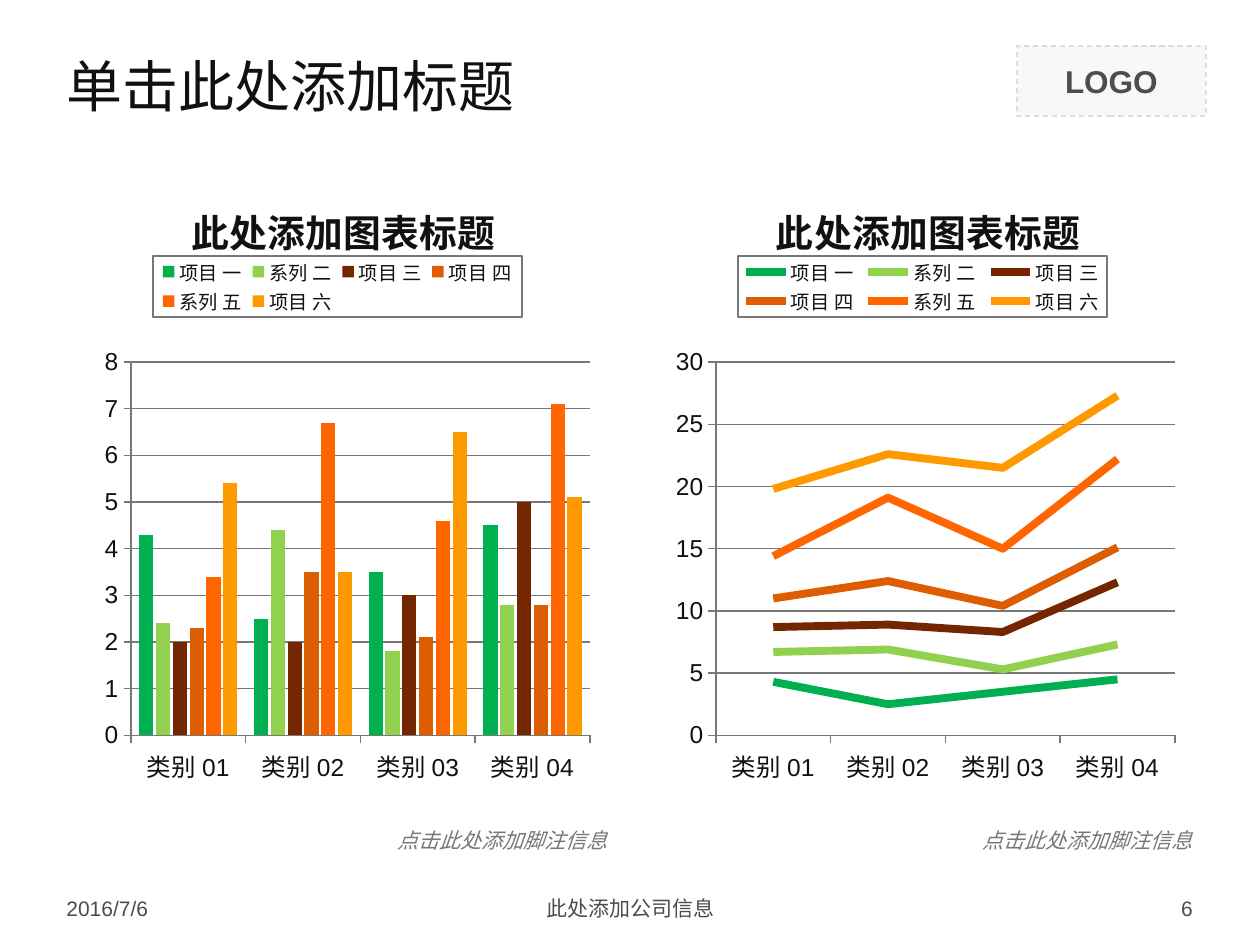
import pptx
import pptx.util
import pptx.dml.color
import pptx.chart.data
import pptx.enum.chart
import pptx.enum.dml
import pptx.enum.shapes
import pptx.enum.text
import pptx.oxml

# Content: lengths in px, 126 to the inch
SIZE = (1260, 945)
TITLE = "单击此处添加标题"
HEAD = "此处添加图表标题"
NOTE = "点击此处添加脚注信息"
CATS = ["类别 01", "类别 02", "类别 03", "类别 04"]
ROWS = [
    ("项目 一", "00B050", (4.3, 2.5, 3.5, 4.5)),
    ("系列 二", "92D050", (2.4, 4.4, 1.8, 2.8)),
    ("项目 三", "742600", (2, 2, 3, 5)),
    ("项目 四", "DC5E01", (2.3, 3.5, 2.1, 2.8)),
    ("系列 五", "FF6600", (3.4, 6.7, 4.6, 7.1)),
    ("项目 六", "FF9900", (5.4, 3.5, 6.5, 5.1)),
]
KIND = pptx.enum.chart.XL_CHART_TYPE
CHARTS = [  # left, type, axis top, axis step
    (54, KIND.COLUMN_CLUSTERED, 8, 1),
    (639, KIND.LINE_STACKED, 30, 5),
]
CHART_TOP, CHART_W, CHART_H = 165, 566, 655
NOTE_W = 237
FOOT = [  # left, width, text, alignment
    (54, 294, "2016/7/6", "l"),
    (431, 399, "此处添加公司信息", "c"),
    (911, 294, "6", "r"),
]
INK, GREY, FOOT_INK = "111111", "777777", "4C4C4C"
ALIGN = {
    "l": pptx.enum.text.PP_ALIGN.LEFT,
    "c": pptx.enum.text.PP_ALIGN.CENTER,
    "r": pptx.enum.text.PP_ALIGN.RIGHT,
}


def px(num):
    return round(num * 914400 / 126)


def color(code):
    return pptx.dml.color.RGBColor.from_string(code)


def style(font, size, code=INK, face="Arial", bold=False, slant=False):
    font.size = pptx.util.Pt(size)
    font.name = face
    font.bold = bold
    font.italic = slant
    font.color.rgb = color(code)


def write(shape, text, align="l", wrap=True, mid=True, **form):
    frame = shape.text_frame
    frame.word_wrap = wrap
    anchor = pptx.enum.text.MSO_ANCHOR
    frame.vertical_anchor = anchor.MIDDLE if mid else anchor.TOP
    par = frame.paragraphs[0]
    par.alignment = ALIGN[align]
    run = par.add_run()
    run.text = text
    style(run.font, **form)


def label(slide, box, text, **form):
    shape = slide.shapes.add_textbox(*map(px, box))
    write(shape, text, **form)
    return shape


def stroke(line, code, width):
    line.color.rgb = color(code)
    line.width = pptx.util.Pt(width)


def node(tag, body):
    return pptx.oxml.parse_xml(
        f'<c:{tag} xmlns:c="http://schemas.openxmlformats.org/drawingml/2006/chart" '
        f'xmlns:a="http://schemas.openxmlformats.org/drawingml/2006/main">{body}</c:{tag}>')


def place(parent, index, spots, inner=False):
    """Give a chart part a fixed place, as fractions of the chart."""
    for old in parent.xpath("./c:layout"):
        parent.remove(old)
    body = '<c:layoutTarget val="inner"/>' if inner else ""
    body += '<c:xMode val="edge"/><c:yMode val="edge"/>'
    body += "".join(f'<c:{key} val="{val}"/>' for key, val in zip("xywh", spots))
    parent.insert(index, node("layout", f"<c:manualLayout>{body}</c:manualLayout>"))


def draw(slide, left, kind, top, step):
    data = pptx.chart.data.CategoryChartData()
    data.categories = CATS
    for name, _, vals in ROWS:
        data.add_series(name, vals)
    box = map(px, (left, CHART_TOP, CHART_W, CHART_H))
    chart = slide.shapes.add_chart(kind, *box, data).chart
    style(chart.font, 18)

    # Heading
    chart.has_title = True
    write(chart.chart_title, HEAD, align="c", size=21.6, bold=True)
    place(chart.chart_title._element, 1, (0.23, 0.04))

    # Legend with a thin frame
    chart.has_legend = True
    key = chart.legend
    key.position = pptx.enum.chart.XL_LEGEND_POSITION.TOP
    key.include_in_layout = False
    style(key.font, 11)
    place(key._element, 1, (0.175, 0.139, 0.652, 0.093))
    frame = node("spPr", f'<a:noFill/><a:ln w="9525"><a:solidFill>'
                         f'<a:srgbClr val="{GREY}"/></a:solidFill></a:ln>')
    key._element.xpath("./c:overlay")[0].addnext(frame)

    # Axes and grid
    for axis in (chart.category_axis, chart.value_axis):
        axis.major_tick_mark = pptx.enum.chart.XL_TICK_MARK.OUTSIDE
        axis.minor_tick_mark = pptx.enum.chart.XL_TICK_MARK.NONE
        style(axis.tick_labels.font, 14)
        stroke(axis.format.line, GREY, 0.75)
    scale = chart.value_axis
    scale.minimum_scale, scale.maximum_scale, scale.major_unit = 0, top, step
    scale.has_major_gridlines = True
    stroke(scale.major_gridlines.format.line, GREY, 0.75)
    area = chart._chartSpace.xpath("./c:chart/c:plotArea")[0]
    place(area, 0, (0.136, 0.301, 0.811, 0.57), inner=True)

    # Series
    plot = chart.plots[0]
    plot.vary_by_categories = False
    bars = kind == KIND.COLUMN_CLUSTERED
    if bars:
        plot.gap_width, plot.overlap = 117, -18
    for item, (_, code, _) in zip(plot.series, ROWS):
        if bars:
            item.format.fill.solid()
            item.format.fill.fore_color.rgb = color(code)
        else:
            item.smooth = False
            item.marker.style = pptx.enum.chart.XL_MARKER_STYLE.NONE
            stroke(item.format.line, code, 4.5)


def main():
    deck = pptx.Presentation()
    deck.slide_width, deck.slide_height = map(px, SIZE)
    slide = deck.slides.add_slide(deck.slide_layouts[6])

    # Logo box
    logo = slide.shapes.add_shape(
        pptx.enum.shapes.MSO_SHAPE.RECTANGLE, *map(px, (1017, 46, 189, 70)))
    logo.shadow.inherit = False
    logo.fill.solid()
    logo.fill.fore_color.rgb = color("F8F8F8")
    stroke(logo.line, "DDDDDD", 0.75)
    logo.line.dash_style = pptx.enum.dml.MSO_LINE.DASH
    write(logo, "LOGO", align="c", size=18, code="4D4D4D", bold=True)

    # Title and footer
    label(slide, (54, 35, 1152, 100), TITLE, size=32, face="Montserrat")
    for left, width, text, align in FOOT:
        label(slide, (left, 890, width, 36), text, align=align, size=12, code=FOOT_INK)

    # Charts, each with a note flush with its right edge
    for left, kind, top, step in CHARTS:
        draw(slide, left, kind, top, step)
        note = label(slide, (left + CHART_W - NOTE_W, 821, NOTE_W, 38), NOTE, align="r",
                     wrap=False, mid=False, size=12, code=GREY, slant=True)
        note.text_frame.auto_size = pptx.enum.text.MSO_AUTO_SIZE.SHAPE_TO_FIT_TEXT

    deck.save("out.pptx")


if __name__ == "__main__":
    main()
